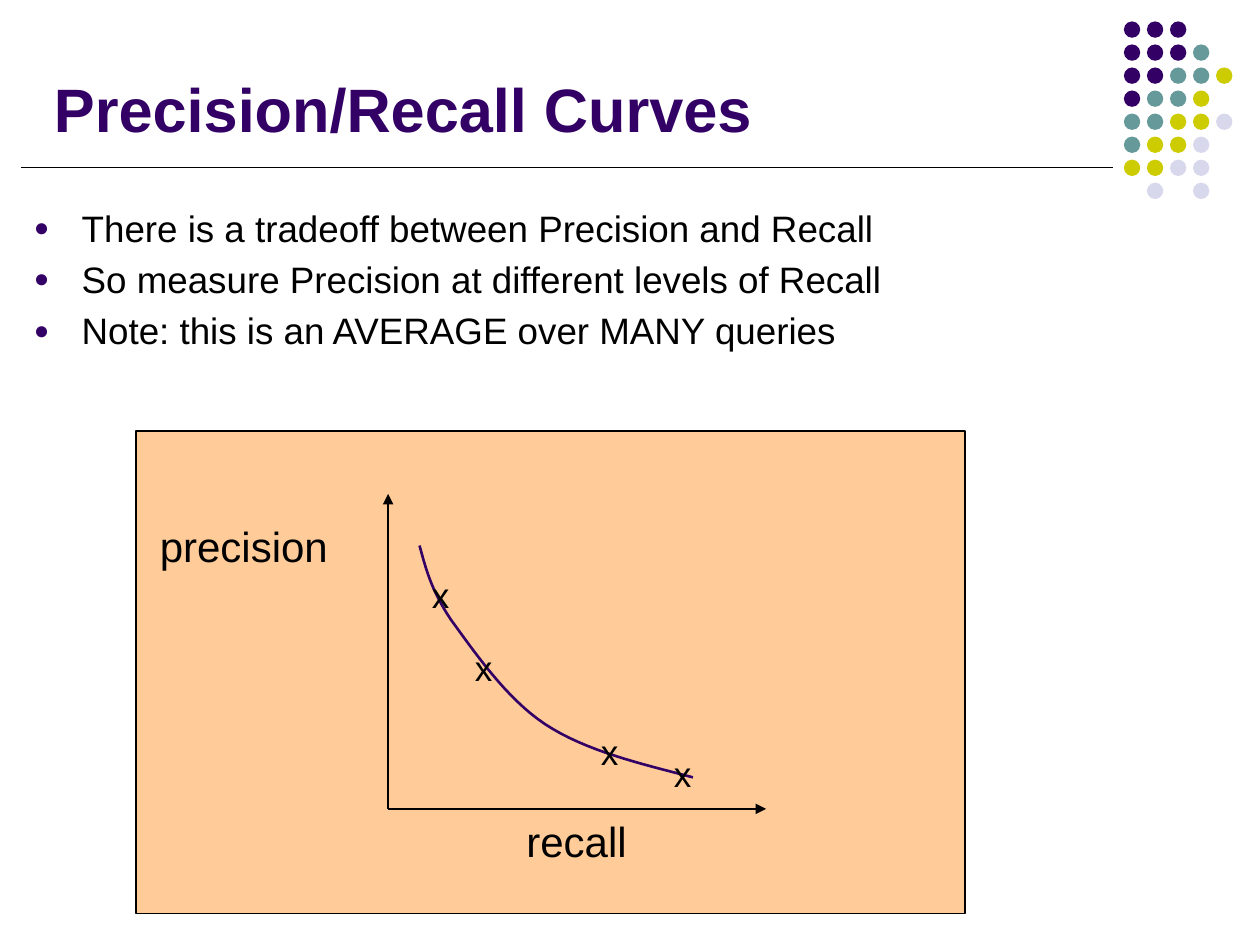
from lxml.etree import SubElement
from pptx import Presentation
from pptx.dml.color import RGBColor
from pptx.enum.shapes import MSO_CONNECTOR, MSO_SHAPE
from pptx.enum.text import MSO_ANCHOR
from pptx.oxml.ns import qn
from pptx.util import Inches, Pt

COLORS = {
    "purple": "330066",
    "teal": "669999",
    "lime": "CCCC00",
    "lavender": "D8D8EC",
    "peach": "FFCC99",
    "black": "000000",
}
DOT_COLORS = {"P": "purple", "T": "teal", "Y": "lime", "L": "lavender"}
DOT_ROWS = ["PPP", "PPPT", "PPTTY", "PTTY", "TTYYL", "TYYL", "YYLL", " L L"]
DOT_PITCH = 1.28 / 7

CURVE_START = (3.33, 4.33)
CURVE_SEGMENTS = [
    ((3.38, 4.51), (3.42, 4.68), (3.58, 4.92)),
    ((3.75, 5.15), (4.01, 5.54), (4.33, 5.75)),
    ((4.65, 5.96), (5.08, 6.06), (5.5, 6.17)),
]
MEASURED_POINTS = [(4.67, 5.75), (3.33, 4.5), (3.67, 5.08), (5.25, 5.92)]
ORIGIN = (3.08, 6.42)

BULLETS = [
    "There is a tradeoff between Precision and Recall",
    "So measure Precision at different levels of Recall",
    "Note: this is an AVERAGE over MANY queries",
]


def rgb(name):
    return RGBColor.from_string(COLORS[name])


def bezier_points(start, segments, steps=16):
    points = []
    for first, second, end in segments:
        for step in range(1, steps + 1):
            t = step / steps
            u = 1 - t
            points.append(tuple(
                Inches(u**3 * a + 3 * u**2 * t * b + 3 * u * t**2 * c + t**3 * d)
                for a, b, c, d in zip(start, first, second, end)
            ))
        start = end
    return points


class SlideBuilder:
    font = "Arial"

    def __init__(self, slide):
        self.slide = slide

    def shape(self, kind, box, fill, line=None):
        shape = self.slide.shapes.add_shape(kind, *map(Inches, box))
        shape.shadow.inherit = False
        shape.fill.solid()
        shape.fill.fore_color.rgb = rgb(fill)
        if line:
            shape.line.color.rgb = rgb(line)
            shape.line.width = Pt(1)
        else:
            shape.line.fill.background()

    def text(self, lines, box, size, color="black", bold=False, wrap=False,
             anchor=MSO_ANCHOR.TOP):
        frame = self.slide.shapes.add_textbox(*map(Inches, box)).text_frame
        frame.word_wrap = wrap
        frame.vertical_anchor = anchor
        frame.text = "\n".join(lines)
        for paragraph in frame.paragraphs:
            font = paragraph.runs[0].font
            font.name = self.font
            font.size = Pt(size)
            font.bold = bold
            font.color.rgb = rgb(color)
        return frame

    def bullets(self, lines, box, size):
        frame = self.text(lines, box, size, wrap=True)
        for paragraph in frame.paragraphs:
            paragraph.space_before = Pt(size * 0.2)
            properties = paragraph._p.get_or_add_pPr()
            properties.set("marL", str(Inches(0.38)))
            properties.set("indent", str(-Inches(0.38)))
            bullet_color = SubElement(properties, qn("a:buClr"))
            SubElement(bullet_color, qn("a:srgbClr"), val=COLORS["purple"])
            SubElement(properties, qn("a:buSzPct"), val="70000")
            SubElement(properties, qn("a:buFont"), typeface=self.font)
            SubElement(properties, qn("a:buChar"), char="●")

    def line(self, start, end, width, arrow=False):
        connector = self.slide.shapes.add_connector(
            MSO_CONNECTOR.STRAIGHT, *map(Inches, start + end))
        connector.line.color.rgb = rgb("black")
        connector.line.width = Pt(width)
        if arrow:
            SubElement(connector.line._get_or_add_ln(), qn("a:tailEnd"),
                       type="triangle")
        SubElement(connector._element.spPr, qn("a:effectLst"))

    def curve(self, start, segments, color, width):
        builder = self.slide.shapes.build_freeform(*map(Inches, start))
        builder.add_line_segments(bezier_points(start, segments), close=False)
        curve = builder.convert_to_shape()
        curve.shadow.inherit = False
        curve.fill.background()
        curve.line.color.rgb = rgb(color)
        curve.line.width = Pt(width)


def main():
    presentation = Presentation()
    presentation.slide_width = Inches(10)
    presentation.slide_height = Inches(7.5)
    page = SlideBuilder(
        presentation.slides.add_slide(presentation.slide_layouts[6]))

    for row, codes in enumerate(DOT_ROWS):
        for column, code in enumerate(codes):
            if code in DOT_COLORS:
                box = (8.92 + column * DOT_PITCH, 0.17 + row * DOT_PITCH,
                       0.13, 0.13)
                page.shape(MSO_SHAPE.OVAL, box, DOT_COLORS[code])
    page.line((0.17, 1.33), (8.83, 1.33), 0.75)

    page.shape(MSO_SHAPE.RECTANGLE, (1.08, 3.42, 6.58, 3.83), "peach", "black")
    page.text(["Precision/Recall Curves"], (0.33, 0.25, 8.25, 0.95), 35,
              "purple", bold=True, wrap=True, anchor=MSO_ANCHOR.BOTTOM)
    page.bullets(BULLETS, (0.17, 1.58, 9.67, 5.25), 21)

    page.line(ORIGIN, (3.08, 3.92), 1, arrow=True)
    page.line(ORIGIN, (6.08, 6.42), 1, arrow=True)
    page.curve(CURVE_START, CURVE_SEGMENTS, "purple", 1.5)
    page.text(["precision"], (1.17, 4.08, 1.54, 0.5), 24)
    page.text(["recall"], (4.08, 6.42, 1, 0.5), 24)
    for left, top in MEASURED_POINTS:
        page.text(["x"], (left, top, 0.34, 0.43), 20)

    presentation.save("out.pptx")


if __name__ == "__main__":
    main()
